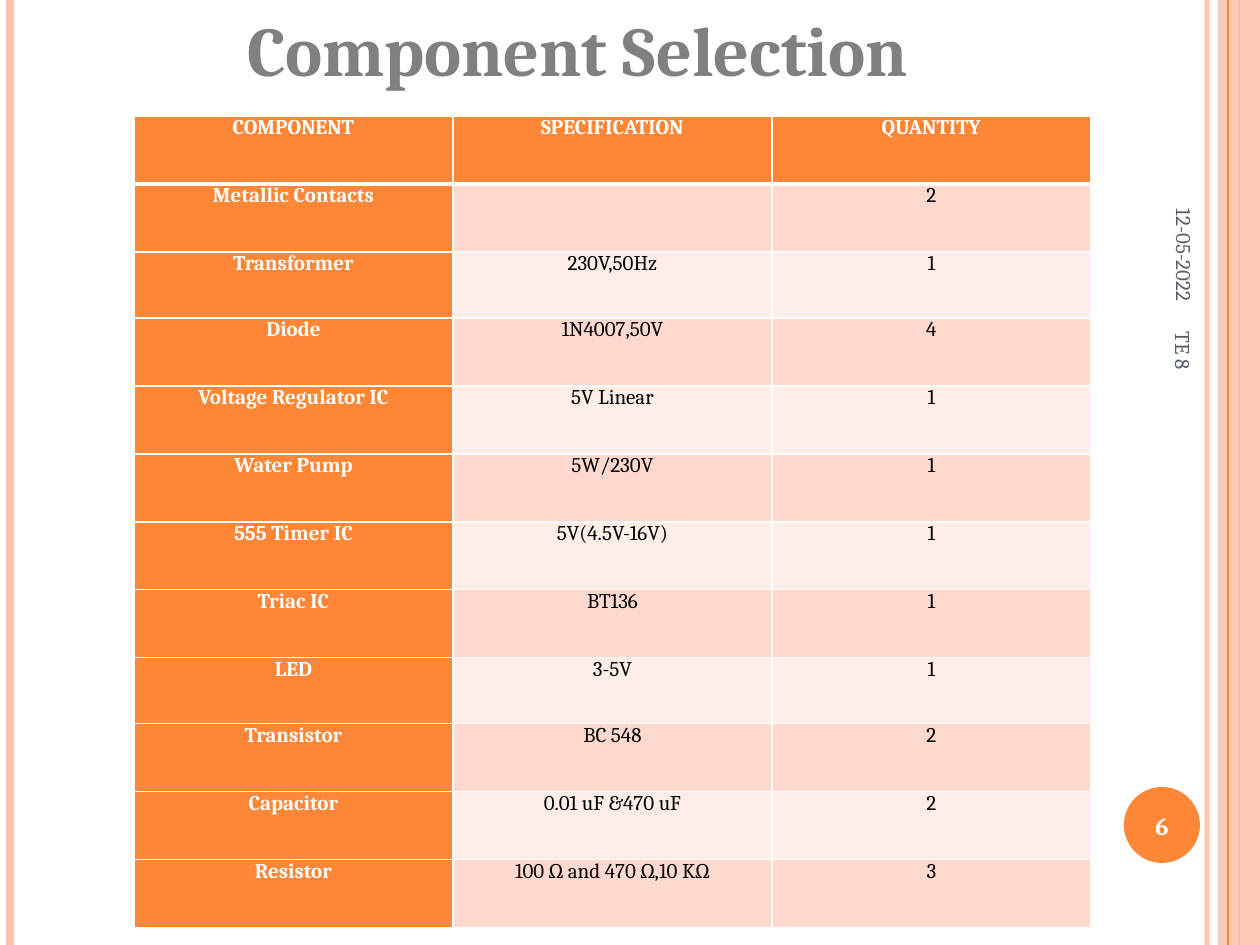
from dataclasses import dataclass

from lxml import etree
from pptx import Presentation
from pptx.dml.color import RGBColor
from pptx.enum import shapes, text
from pptx.oxml import ns
from pptx.util import Emu, Pt

PIXEL = 914400 / 126
PAGE_WIDTH, PAGE_HEIGHT = 1260, 945
FONT = "Cambria"
COLORS = {
    "orange": "FE8637",
    "peach": "FEC3AE",
    "dark_band": "FFD9CE",
    "light_band": "FFEDE8",
    "title": "808080",
    "slate": "575F6D",
    "white": "FFFFFF",
    "black": "000000",
}
LEFT, CENTER, RIGHT = text.PP_ALIGN.LEFT, text.PP_ALIGN.CENTER, text.PP_ALIGN.RIGHT
TOP, MIDDLE = text.MSO_ANCHOR.TOP, text.MSO_ANCHOR.MIDDLE


@dataclass
class Stripe:
    x: int
    color: str
    weight: float
    opacity: int = 100


@dataclass
class Solid:
    kind: shapes.MSO_SHAPE
    bounds: tuple[int, int, int, int]
    color: str
    opacity: int = 100


@dataclass
class Label:
    words: str
    bounds: tuple[int, int, int, int]
    size: int
    color: str
    bold: bool = False
    alignment: text.PP_ALIGN = CENTER
    anchor: text.MSO_ANCHOR = MIDDLE
    rotation: int = 0
    space_before: int = 0


EDGE_STRIPES = [
    Stripe(1207, "peach", 3, 93),
    Stripe(10, "peach", 4.5),
    Stripe(1239, "orange", 1.5),
]
SIDE_BAND = Solid(shapes.MSO_SHAPE.RECTANGLE, (1218, 0, 42, PAGE_HEIGHT), "peach", 87)
BAND_STRIPE = Stripe(1228, "orange", 0.75)
NUMBER_DISC = Solid(shapes.MSO_SHAPE.OVAL, (1124, 787, 76, 76), "orange")
LABELS = [
    Label("Component Selection", (63, 0, 1029, 945), 40, "title", True,
          anchor=TOP, space_before=6),
    Label("12-05-2022", (1046, 149, 277, 53), 12, "slate", alignment=RIGHT, rotation=90),
    Label("6", (1120, 790, 84, 72), 14, "white", True),
    Label("TE 8", (963, 515, 441, 50), 12, "slate", alignment=LEFT, rotation=90),
]
COMPONENTS = [
    ("COMPONENT", "SPECIFICATION", "QUANTITY"),
    ("Metallic Contacts", "", "2"),
    ("Transformer", "230V,50Hz", "1"),
    ("Diode", "1N4007,50V", "4"),
    ("Voltage Regulator IC", "5V Linear", "1"),
    ("Water Pump", "5W/230V", "1"),
    ("555 Timer IC", "5V(4.5V-16V)", "1"),
    ("Triac IC", "BT136", "1"),
    ("LED", "3-5V", "1"),
    ("Transistor", "BC 548", "2"),
    ("Capacitor", "0.01 uF &470 uF", "2"),
    ("Resistor", "100 \u2126 and 470 \u2126,10 K\u2126", "3"),
]
TABLE_LEFT, TABLE_TOP, COLUMN_WIDTH = 134, 116, 319
ROW_HEIGHT, SHORT_ROW_HEIGHT, SHORT_ROWS = 68, 66, (2, 8)


def px(length: float) -> Emu:
    return Emu(round(length * PIXEL))


def rgb(name: str) -> RGBColor:
    return RGBColor.from_string(COLORS[name])


def assign(target, values: dict) -> None:
    for name, value in values.items():
        setattr(target, name, value)


def set_opacity(element, opacity: int) -> None:
    if opacity < 100:
        color = next(element.iter(ns.qn("a:srgbClr")))
        etree.SubElement(color, ns.qn("a:alpha"), val=str(opacity * 1000))


def draw_stripe(page, stripe: Stripe) -> None:
    line = page.shapes.add_connector(
        shapes.MSO_CONNECTOR.STRAIGHT, px(stripe.x), px(0), px(stripe.x), px(PAGE_HEIGHT))
    line.line.width = Pt(stripe.weight)
    line.line.color.rgb = rgb(stripe.color)
    properties = line._element.spPr
    set_opacity(properties, stripe.opacity)
    etree.SubElement(properties, ns.qn("a:effectLst"))


def draw_solid(page, solid: Solid) -> None:
    shape = page.shapes.add_shape(solid.kind, *map(px, solid.bounds))
    shape.shadow.inherit = False
    shape.fill.solid()
    shape.fill.fore_color.rgb = rgb(solid.color)
    shape.line.fill.background()
    set_opacity(shape._element.spPr, solid.opacity)


def write(para, words: str, size: int, color: str, bold: bool) -> None:
    span = para.add_run()
    span.text = words
    assign(span.font, {"name": FONT, "size": Pt(size), "bold": bold})
    span.font.color.rgb = rgb(color)


def draw_label(page, label: Label) -> None:
    box = page.shapes.add_textbox(*map(px, label.bounds))
    box.rotation = label.rotation
    assign(box.text_frame, {"word_wrap": True, "vertical_anchor": label.anchor})
    para = box.text_frame.paragraphs[0]
    assign(para, {"alignment": label.alignment, "space_before": Pt(label.space_before)})
    write(para, label.words, label.size, label.color, label.bold)


def set_borders(cell, weights: dict[str, int]) -> None:
    properties = cell._tc.get_or_add_tcPr()
    for index, (side, weight) in enumerate(weights.items()):
        border = etree.Element(ns.qn(f"a:ln{side}"), w=str(Pt(weight)))
        fill = etree.SubElement(border, ns.qn("a:solidFill"))
        etree.SubElement(fill, ns.qn("a:srgbClr"), val=COLORS["white"])
        properties.insert(index, border)


def draw_table(page, rows: list[tuple[str, ...]]) -> None:
    heights = [SHORT_ROW_HEIGHT if index in SHORT_ROWS else ROW_HEIGHT
               for index in range(len(rows))]
    columns = len(rows[0])
    frame = page.shapes.add_table(
        len(rows), columns, px(TABLE_LEFT), px(TABLE_TOP),
        px(COLUMN_WIDTH * columns), px(sum(heights)))
    table = frame.table
    for column in table.columns:
        column.width = px(COLUMN_WIDTH)
    for row_index, values in enumerate(rows):
        table.rows[row_index].height = px(heights[row_index])
        band = "dark_band" if row_index % 2 else "light_band"
        for column_index, words in enumerate(values):
            heading = row_index == 0 or column_index == 0
            cell = table.cell(row_index, column_index)
            assign(cell, {"margin_left": px(9), "margin_right": px(9),
                          "margin_top": 0, "margin_bottom": 0})
            cell.fill.solid()
            cell.fill.fore_color.rgb = rgb("orange" if heading else band)
            set_borders(cell, {"L": 1, "R": 1, "T": 3 if row_index == 1 else 1,
                               "B": 3 if row_index == 0 else 1})
            para = cell.text_frame.paragraphs[0]
            assign(para, {"alignment": CENTER, "space_after": Pt(6)})
            if words:
                write(para, words, 12, "white" if heading else "black", heading)


deck = Presentation()
assign(deck, {"slide_width": px(PAGE_WIDTH), "slide_height": px(PAGE_HEIGHT)})
page = deck.slides.add_slide(deck.slide_layouts[6])
for stripe in EDGE_STRIPES:
    draw_stripe(page, stripe)
draw_solid(page, SIDE_BAND)
draw_stripe(page, BAND_STRIPE)
draw_solid(page, NUMBER_DISC)
for label in LABELS:
    draw_label(page, label)
draw_table(page, COMPONENTS)
deck.save("out.pptx")
